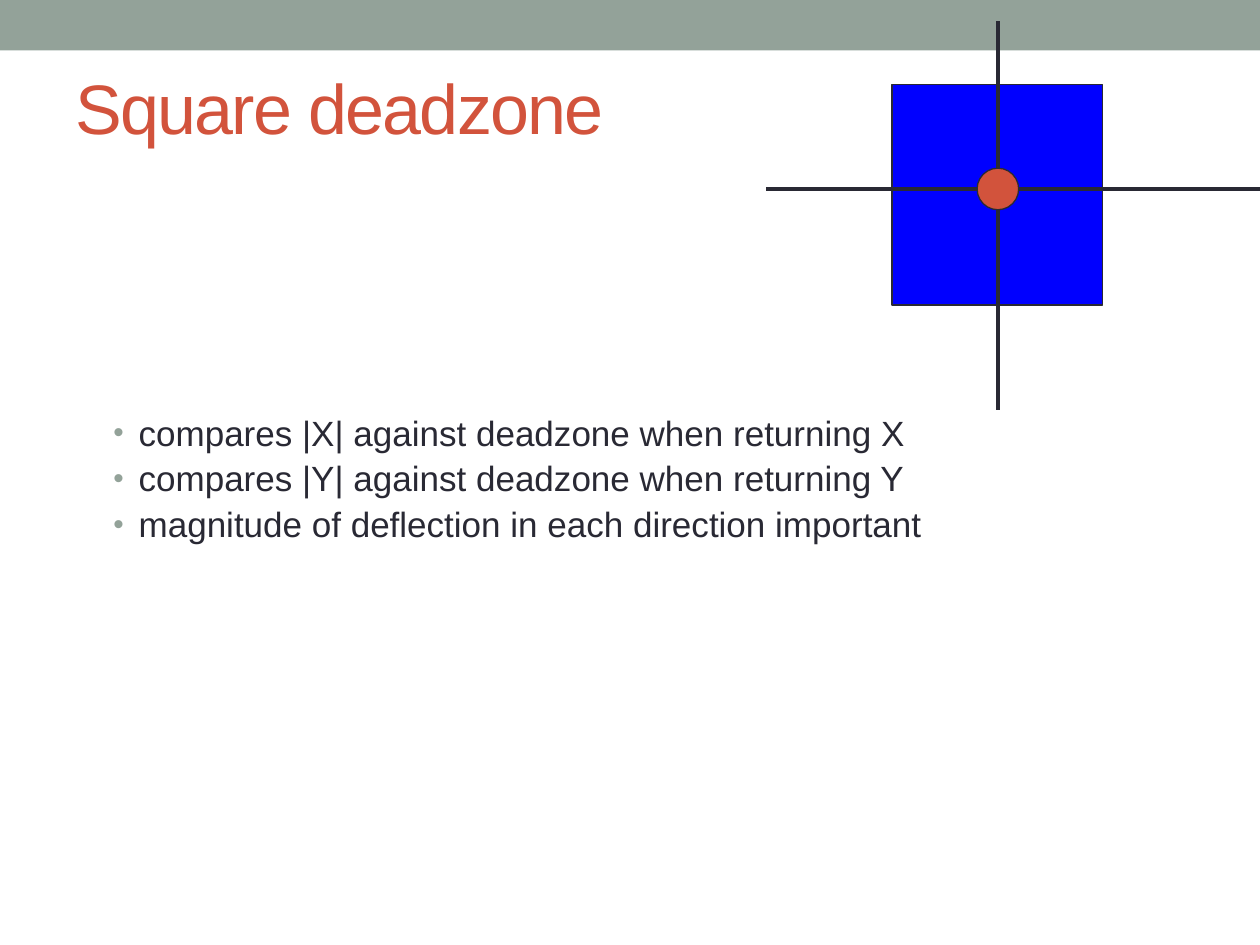
import pptx
import pptx.util
import pptx.dml.color
import pptx.enum.shapes
import pptx.enum.text
import pptx.oxml
import pptx.oxml.ns

Inches = pptx.util.Inches
Pt = pptx.util.Pt
SHAPE = pptx.enum.shapes.MSO_SHAPE
ANCHOR = pptx.enum.text.MSO_ANCHOR
FONT = "Arial"
COLORS = {"sage": "93A299", "red": "D2533C", "ink": "292934", "blue": "0000FF"}


def rgb(name):
    return pptx.dml.color.RGBColor.from_string(COLORS[name])


def add_xml(parent, tag, **attrs):
    el = pptx.oxml.ns.qn(tag)
    child = parent.makeelement(el, attrs)
    parent.append(child)
    return child


def add_text(p, text, size=20, color="ink", spacing=None):
    r = p.add_run()
    r.text = text
    r.font.name = FONT
    r.font.size = Pt(size)
    r.font.color.rgb = rgb(color)
    if spacing is not None:
        r._r.get_or_add_rPr().set("spc", str(spacing))


def place(ph, x, y, w, h, anchor):
    ph.left, ph.top, ph.width, ph.height = map(Inches, (x, y, w, h))
    tf = ph.text_frame
    tf.word_wrap = True
    tf.auto_size = pptx.enum.text.MSO_AUTO_SIZE.NONE
    tf.vertical_anchor = anchor
    return tf


def add_bullet(p, text):
    p.level = 1
    p.line_spacing = 0.9
    p.space_before = Pt(4.6)
    pPr = p._p.get_or_add_pPr()
    pPr.set("marL", str(Inches(0.5)))
    pPr.set("indent", str(Inches(-0.2)))
    add_xml(add_xml(pPr, "a:buClr"), "a:srgbClr", val=COLORS["sage"])
    add_xml(pPr, "a:buSzPct", val="85000")
    add_xml(pPr, "a:buFont", typeface=FONT)
    add_xml(pPr, "a:buChar", char="•")
    add_text(p, text)


def add_shape(shapes, kind, x, y, w, h, fill, line=None):
    sp = shapes.add_shape(kind, *map(Inches, (x, y, w, h)))
    sp.shadow.inherit = False
    sp.fill.solid()
    sp.fill.fore_color.rgb = rgb(fill)
    if line:
        sp.line.color.rgb = rgb(line)
        sp.line.width = Pt(0.75)
    else:
        sp.line.fill.background()
    return sp


def add_line(shapes, x1, y1, x2, y2):
    straight = pptx.enum.shapes.MSO_CONNECTOR.STRAIGHT
    axis = shapes.add_connector(straight, *map(Inches, (x1, y1, x2, y2)))
    axis.line.color.rgb = rgb("ink")
    axis.line.width = Pt(2.25)
    add_xml(axis._element.spPr, "a:effectLst")


def add_deadzone(s):
    cx, cy, d = 7.92, 1.5, 0.33
    shapes = s.shapes.add_group_shape().shapes
    add_shape(shapes, SHAPE.RECTANGLE, 7.08, 0.67, 1.67, 1.75, "blue", "ink")
    add_line(shapes, 6.08, cy, 10, cy)
    add_line(shapes, cx, 0.17, cx, 3.25)
    add_shape(shapes, SHAPE.OVAL, cx - d / 2, cy - d / 2, d, d, "red", "ink")


def main():
    prs = pptx.Presentation()
    prs.slide_width, prs.slide_height = Inches(10), Inches(7.5)
    s = prs.slides.add_slide(prs.slide_layouts[1])

    bar = add_shape(s.shapes, SHAPE.RECTANGLE, 0, 0, 10, 0.4, "sage")
    s.shapes.title._element.addprevious(bar._element)

    tf = place(s.shapes.title, 0.5, 0.33, 8.25, 1.03, ANCHOR.MIDDLE)
    p = tf.paragraphs[0]
    p.alignment = pptx.enum.text.PP_ALIGN.LEFT
    add_text(p, "Square deadzone", size=40, color="red", spacing=-100)

    tf = place(s.placeholders[1], 0.5, 3.25, 9, 3.62, ANCHOR.TOP)
    bullets = [
        "compares |X| against deadzone when returning X",
        "compares |Y| against deadzone when returning Y",
        "magnitude of deflection in each direction important",
    ]
    for i, text in enumerate(bullets):
        add_bullet(tf.add_paragraph() if i else tf.paragraphs[0], text)

    add_deadzone(s)
    prs.save("out.pptx")


main()
